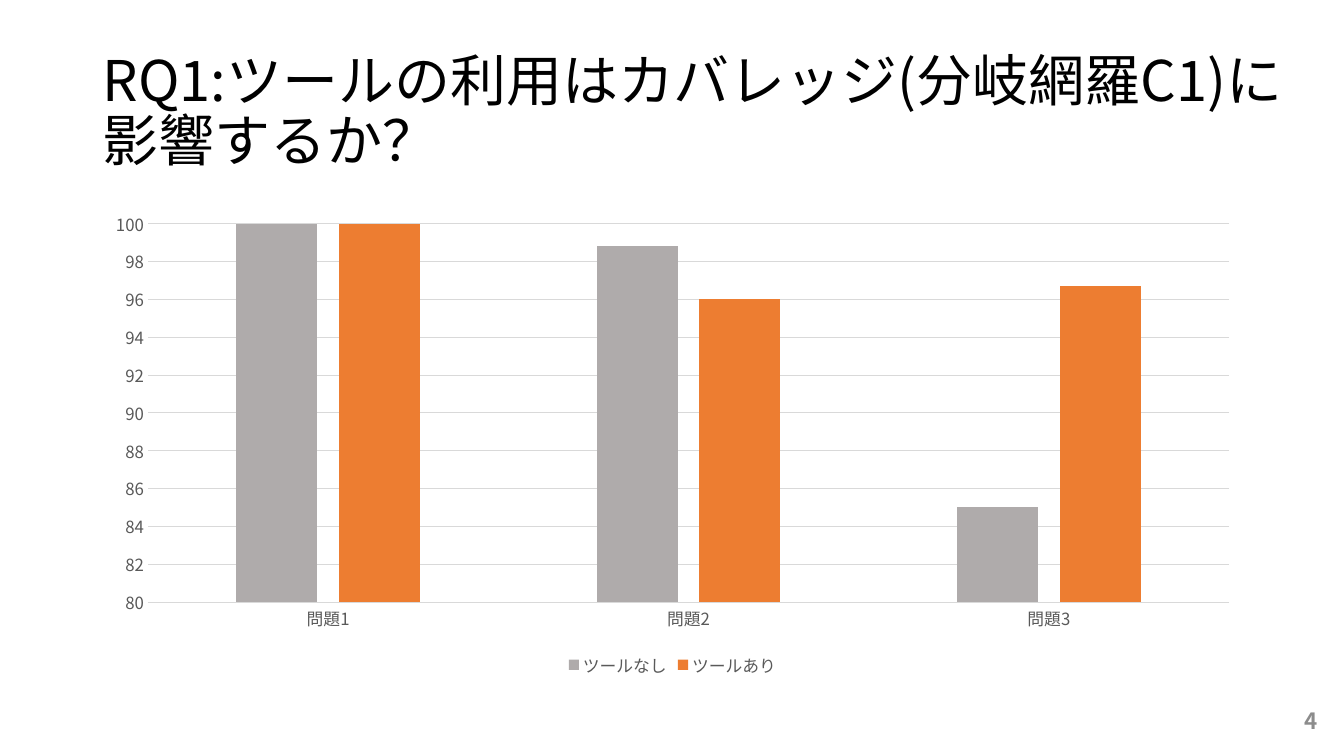
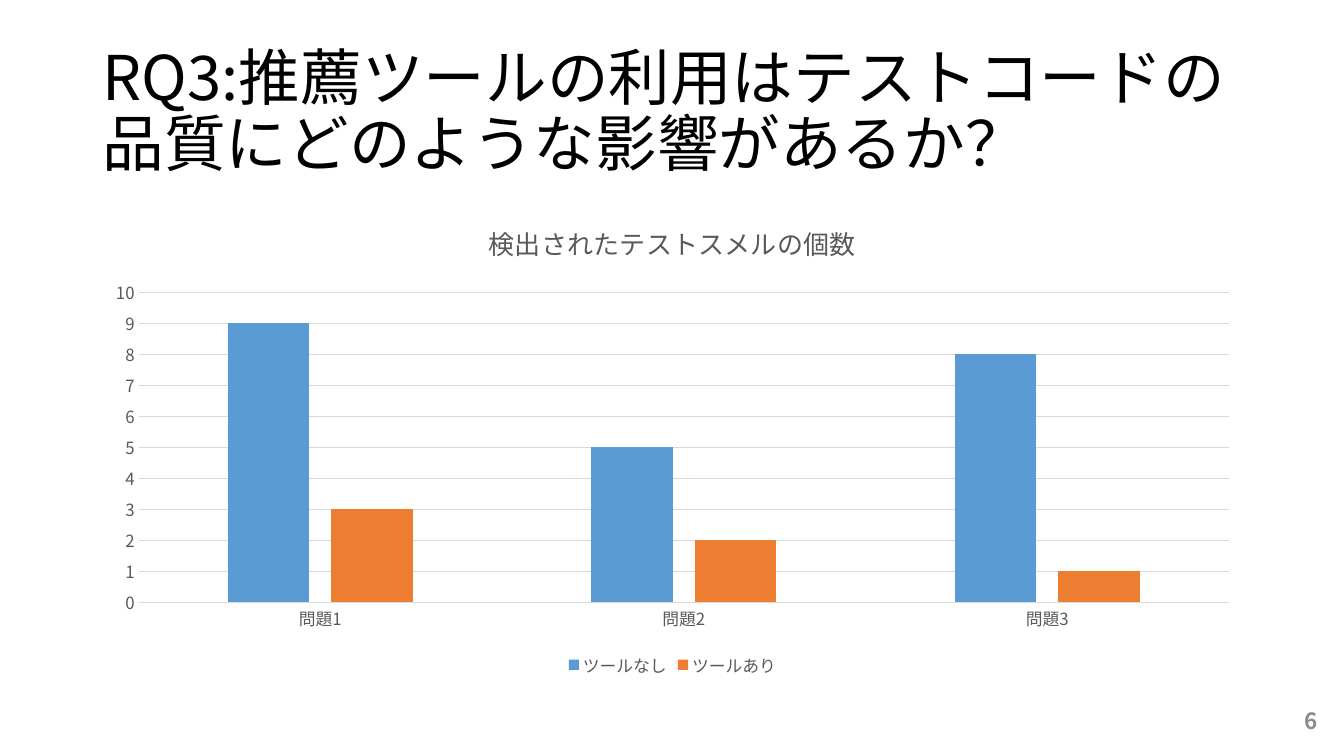
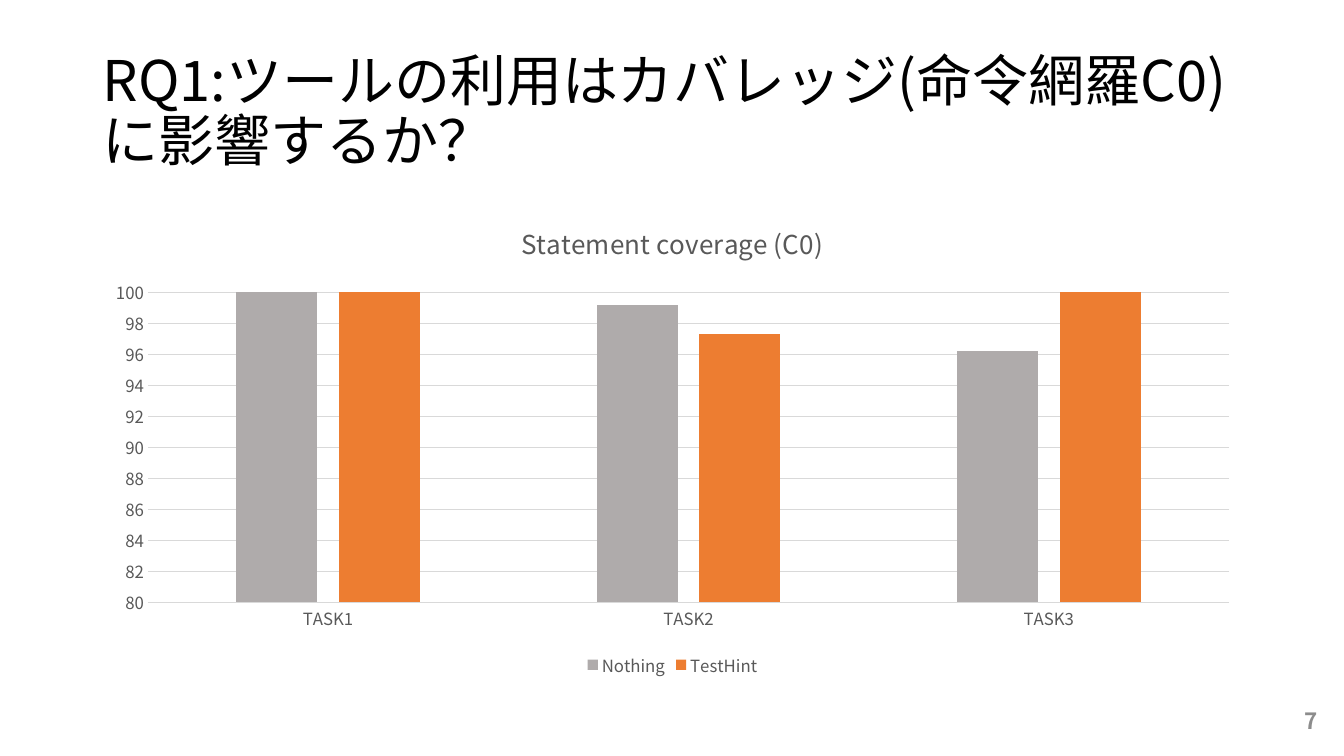
from dataclasses import dataclass
from typing import Optional

from pptx import Presentation
from pptx.chart.data import CategoryChartData as ChartData
from pptx.dml.color import RGBColor as RGB
from pptx.enum.chart import XL_CHART_TYPE as Kind, XL_LEGEND_POSITION as Spot, XL_TICK_MARK as Tick
from pptx.enum.text import MSO_ANCHOR as Anchor, PP_ALIGN as Align
from pptx.oxml import parse_xml
from pptx.oxml.ns import nsdecls, qn
from pptx.util import Inches, Pt

FONT = "Noto Sans CJK JP"
COLORS = {
    "page": "FFFFFF",
    "title": "000000",
    "label": "595959",
    "grid": "D9D9D9",
    "number": "8C8C8C",
    "gray": "AFABAB",
    "blue": "5B9BD5",
    "orange": "ED7D31",
}


@dataclass
class Series:
    name: str
    values: tuple
    color: str


@dataclass
class Page:
    number: int
    title: str
    size: int
    width: float
    cats: tuple
    series: tuple
    head: str = ""
    low: Optional[int] = None
    high: Optional[int] = None


TASKS = ("問題1", "問題2", "問題3")
PAGES = (
    Page(4, "RQ1:ツールの利用はカバレッジ(分岐網羅C1)に影響するか？", 40, 12.01, TASKS,
         (Series("ツールなし", (100, 98.8, 85), "gray"),
          Series("ツールあり", (100, 96, 96.7), "orange")),
         low=80, high=100),
    Page(6, "RQ3:推薦ツールの利用はテストコードの品質にどのような影響があるか？", 44, 11.5, TASKS,
         (Series("ツールなし", (9, 5, 8), "blue"),
          Series("ツールあり", (3, 2, 1), "orange")),
         head="検出されたテストスメルの個数"),
    Page(7, "RQ1:ツールの利用はカバレッジ(命令網羅C0)に影響するか？", 40, 11.83,
         ("TASK1", "TASK2", "TASK3"),
         (Series("Nothing", (100, 99.2, 96.2), "gray"),
          Series("TestHint", (100, 97.3, 100), "orange")),
         head="Statement coverage (C0)", low=80, high=100),
)


def rgb(name: str) -> RGB:
    return RGB.from_string(COLORS[name])


def style(font, size: float, color: str, bold: bool = False) -> None:
    font.name = FONT
    font.size = Pt(size)
    font.bold = bold
    font.color.rgb = rgb(color)


def set_asian(root) -> None:
    for latin in list(root.iter(qn("a:latin"))):
        latin.addnext(parse_xml(f'<a:ea {nsdecls("a")} typeface="{FONT}"/>'))


def rule(line) -> None:
    line.color.rgb = rgb("grid")
    line.width = Pt(0.75)


def add_text(slide, box: tuple, text: str, size: int, color: str, bold: bool = False):
    frame = slide.shapes.add_textbox(*map(Inches, box)).text_frame
    frame.word_wrap = True
    frame.vertical_anchor = Anchor.MIDDLE
    frame.text = text
    para = frame.paragraphs[0]
    style(para.runs[0].font, size, color, bold)
    return para


def add_bars(slide, page: Page) -> None:
    data = ChartData()
    data.categories = page.cats
    for item in page.series:
        data.add_series(item.name, item.values)
    box = map(Inches, (0.92, 2, 11.5, 4.76))
    chart = slide.shapes.add_chart(Kind.COLUMN_CLUSTERED, *box, data).chart
    style(chart.font, 10, "title")

    chart.has_title = bool(page.head)
    if page.head:
        frame = chart.chart_title.text_frame
        frame.text = page.head
        style(frame.paragraphs[0].runs[0].font, 18.6, "label")
        chart.chart_title.include_in_layout = False

    chart.has_legend = True
    chart.legend.position = Spot.BOTTOM
    chart.legend.include_in_layout = False
    style(chart.legend.font, 12, "label")

    for axis in (chart.category_axis, chart.value_axis):
        axis.major_tick_mark = axis.minor_tick_mark = Tick.NONE
        style(axis.tick_labels.font, 12, "label")
    rule(chart.category_axis.format.line)
    axis = chart.value_axis
    axis.format.line.fill.background()
    rule(axis.major_gridlines.format.line)
    axis.minimum_scale = page.low
    axis.maximum_scale = page.high

    plot = chart.plots[0]
    plot.gap_width = 219
    plot.overlap = -27
    plot.vary_by_categories = False
    for bars, item in zip(plot.series, page.series):
        bars.format.fill.solid()
        bars.format.fill.fore_color.rgb = rgb(item.color)
    set_asian(chart.element)


def add_page(deck, page: Page) -> None:
    slide = deck.slides.add_slide(deck.slide_layouts[6])
    slide.background.fill.solid()
    slide.background.fill.fore_color.rgb = rgb("page")
    title = add_text(slide, (0.92, 0.4, page.width, 1.45), page.title, page.size, "title")
    title.line_spacing = 0.9
    add_bars(slide, page)
    number = add_text(slide, (10.17, 6.95, 3, 0.4), str(page.number), 16, "number", True)
    number.alignment = Align.RIGHT
    set_asian(slide.element)


def main() -> None:
    deck = Presentation()
    deck.slide_width = Inches(13.33)
    deck.slide_height = Inches(7.5)
    for page in PAGES:
        add_page(deck, page)
    deck.save("out.pptx")


if __name__ == "__main__":
    main()
